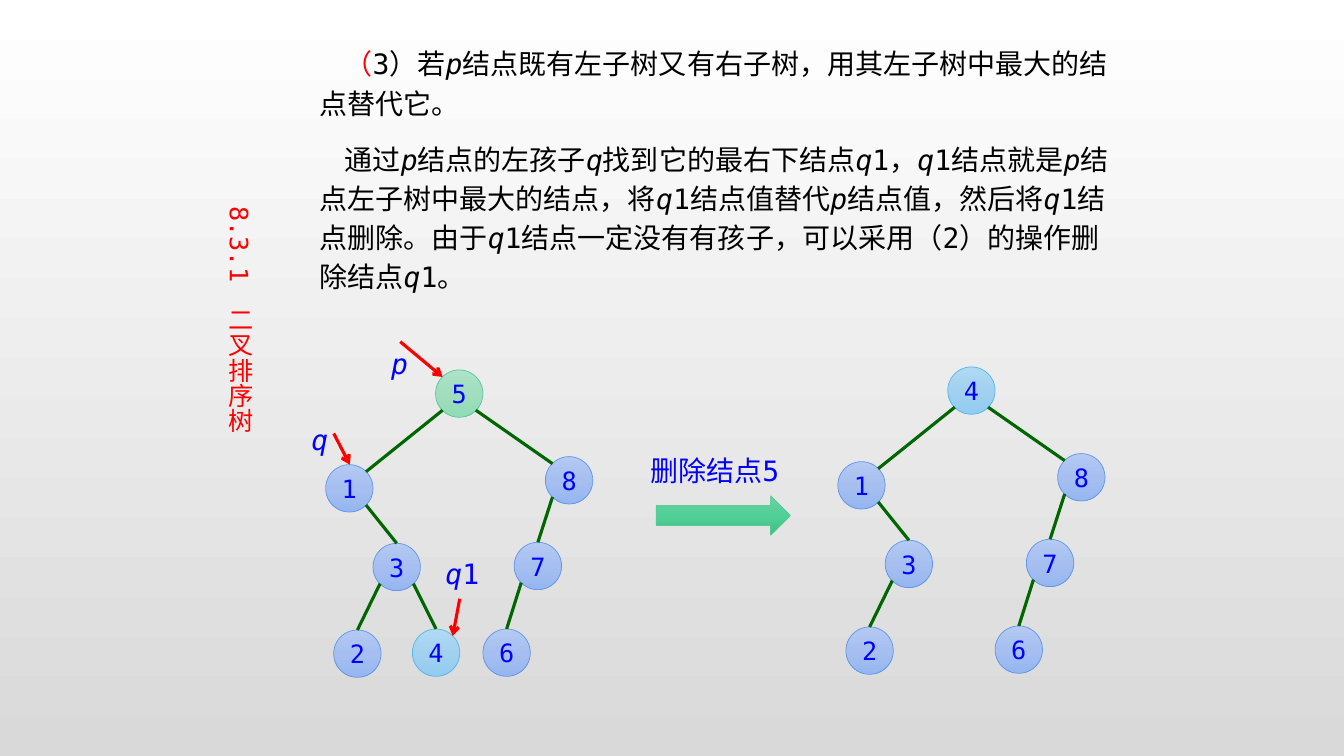
from copy import deepcopy

from lxml import etree
from pptx import Presentation
from pptx import util as u
from pptx.dml.color import RGBColor
from pptx.enum import shapes, text
from pptx.oxml.ns import qn

FONT = "DejaVu Sans Mono"
BLUE = RGBColor(0x00, 0x00, 0xFF)
RED = RGBColor(0xFF, 0x00, 0x00)
BLACK = RGBColor(0x00, 0x00, 0x00)
GREEN = RGBColor(0x00, 0x66, 0x00)
WHITE = RGBColor(0xFF, 0xFF, 0xFF)
GREY = RGBColor(0xD9, 0xD9, 0xD9)
ARROW_FILL = [RGBColor(0x6D, 0xD1, 0xA1), RGBColor(0x50, 0xD0, 0x96), RGBColor(0x41, 0xBF, 0x85)]
GREEN_FILL = [RGBColor(0xAE, 0xE3, 0xC8), RGBColor(0xA1, 0xDD, 0xBE), RGBColor(0x90, 0xDC, 0xB5)]
BLUE_FILL = [RGBColor(0xB4, 0xCA, 0xF3), RGBColor(0xA6, 0xBF, 0xF0), RGBColor(0x96, 0xB6, 0xF1)]
SKY_FILL = [RGBColor(0xB1, 0xD9, 0xF3), RGBColor(0xA2, 0xD1, 0xEF), RGBColor(0x92, 0xCC, 0xF1)]
GREEN_LINE = RGBColor(0x56, 0xCA, 0x95)
BLUE_LINE = RGBColor(0x60, 0x96, 0xE6)
SKY_LINE = RGBColor(0x58, 0xB6, 0xE5)

PLAIN = (BLUE_FILL, BLUE_LINE)
DELETED = (GREEN_FILL, GREEN_LINE)
REPLACING = (SKY_FILL, SKY_LINE)


def paint(fill, element, colours):
    fill.gradient()
    fill.gradient_angle = 270
    stops = element.find(".//" + qn("a:gsLst"))
    while len(stops) < len(colours):
        stops.insert(1, deepcopy(stops[0]))
    for index, (stop, colour) in enumerate(zip(fill.gradient_stops, colours)):
        stop.color.rgb = colour
        stop.position = index / (len(colours) - 1)


def write(para, marked, size, colour):
    for index, piece in enumerate(marked.split("*")):
        if piece:
            span = para.add_run()
            span.text = piece
            looks = {"name": FONT, "size": u.Pt(size), "italic": index % 2 == 1}
            for name, value in looks.items():
                setattr(span.font, name, value)
            span.font.color.rgb = colour


deck = Presentation()
deck.slide_width, deck.slide_height = u.Inches(13.33), u.Inches(7.5)
page = deck.slides.add_slide(deck.slide_layouts[6])
paint(page.background.fill, page.element, [WHITE, GREY])

body = page.shapes.add_textbox(u.Inches(3.07), u.Inches(0.36), u.Inches(8.13), u.Inches(2.62))
body.text_frame.word_wrap = True
explanation = [
    "（**3）若*p*结点既有左子树又有右子树，用其左子树中最大的结点替代它。",
    "通过*p*结点的左孩子*q*找到它的最右下结点*q*1，*q*1结点就是*p*结点左子树中最大的结点，"
    "将*q*1结点值替代*p*结点值，然后将*q*1结点删除。由于*q*1结点一定没有有孩子，"
    "可以采用（2）的操作删除结点*q*1。",
]
for index, sentence in enumerate(explanation):
    para = body.text_frame.add_paragraph() if index else body.text_frame.paragraphs[0]
    para.line_spacing = u.Pt(28)
    para.space_before = u.Pt(12 * index)
    para._p.get_or_add_pPr().set("indent", str(u.Inches(0.25)))
    write(para, sentence, 20, BLACK)
body.text_frame.paragraphs[0].runs[0].font.color.rgb = RED

step = page.shapes.add_group_shape()
arrow = step.shapes.add_shape(
    shapes.MSO_SHAPE.RIGHT_ARROW, u.Inches(6.51), u.Inches(4.92), u.Inches(1.33), u.Inches(0.39))
arrow.shadow.inherit = False
paint(arrow.fill, arrow.element, ARROW_FILL)
arrow.line.color.rgb = GREEN_LINE
arrow.line.width = u.Pt(0.5)

SIZE = 0.47
NEAR, FAR = 0.07, 0.4
SITES = {"top": (SIZE / 2, 0), "top left": (NEAR, NEAR), "top right": (FAR, NEAR),
         "bottom left": (NEAR, FAR), "bottom right": (FAR, FAR)}
places = {"5": (4.32, 3.67), "1": (3.23, 4.61), "3": (3.7, 5.39), "4": (4.09, 6.24),
          "8": (5.41, 4.53), "7": (5.1, 5.38), "6": (4.79, 6.24), "2": (3.31, 6.25)}
edges = [("5", "bottom left", "1", "top right"), ("5", "bottom right", "8", "top left"),
         ("1", "bottom right", "3", "top"), ("3", "bottom left", "2", "top"),
         ("3", "bottom right", "4", "top"), ("8", "bottom left", "7", "top"),
         ("7", "bottom left", "6", "top")]
pointers = [(3.97, 3.39, 4.39, 3.74), (3.31, 4.3, 3.47, 4.61), (4.56, 5.94, 4.49, 6.31)]

after_places = {key: (x + 5.08, y - 0.03) for key, (x, y) in places.items() if key != "4"}
after_places["4"] = after_places.pop("5")
after_edges = [("4" if start == "5" else start, leaving, end, entering)
               for start, leaving, end, entering in edges if end != "4"]

before = page.shapes.add_group_shape()
after = page.shapes.add_group_shape()
trees = [(before, places, edges, pointers), (after, after_places, after_edges, [])]
for tree, nodes, branches, marks in trees:
    for key, (x, y) in nodes.items():
        node = tree.shapes.add_shape(
            shapes.MSO_SHAPE.OVAL, u.Inches(x), u.Inches(y), u.Inches(SIZE), u.Inches(SIZE))
        node.shadow.inherit = False
        colours, outline = {"5": DELETED, "4": REPLACING}.get(key, PLAIN)
        paint(node.fill, node.element, colours)
        node.line.color.rgb = outline
        node.line.width = u.Pt(0.5)
        frame = node.text_frame
        frame.margin_left = frame.margin_right = 0
        frame.vertical_anchor = text.MSO_ANCHOR.MIDDLE
        frame.paragraphs[0].alignment = text.PP_ALIGN.CENTER
        write(frame.paragraphs[0], key, 18, BLUE)

    lines = []
    for start, leaving, end, entering in branches:
        ends = [nodes[key][axis] + SITES[site][axis]
                for key, site in ((start, leaving), (end, entering)) for axis in (0, 1)]
        lines.append((ends, GREEN))
    lines += [(ends, RED) for ends in marks]
    for ends, colour in lines:
        line = tree.shapes.add_connector(
            shapes.MSO_CONNECTOR.STRAIGHT, *[u.Inches(value) for value in ends])
        line.line.color.rgb = colour
        line.line.width = u.Pt(2.25)
        if colour == RED:
            etree.SubElement(line.line._get_or_add_ln(), qn("a:tailEnd"), type="arrow")
        etree.SubElement(line.element.spPr, qn("a:effectLst"))

labels = [(step, "删除结点5", 6.35, 4.45, 1.56), (before, "*p*", 3.78, 3.39, 0.39),
          (before, "*q*", 2.99, 4.14, 0.39), (before, "*q*1", 4.32, 5.47, 0.55)]
for group, caption, x, y, width in labels:
    box = group.shapes.add_textbox(u.Inches(x), u.Inches(y), u.Inches(width), u.Inches(0.44))
    box.text_frame.word_wrap = False
    write(box.text_frame.paragraphs[0], caption, 20, BLUE)

section = page.shapes.add_textbox(u.Inches(2.08), u.Inches(1.95), u.Inches(0.5), u.Inches(3.44))
section.text_frame.word_wrap = True
section.text_frame._txBody.bodyPr.set("vert", "eaVert")
section.text_frame.paragraphs[0].alignment = text.PP_ALIGN.CENTER
write(section.text_frame.paragraphs[0], "8.3.1　二叉排序树", 18, RED)

deck.save("out.pptx")
